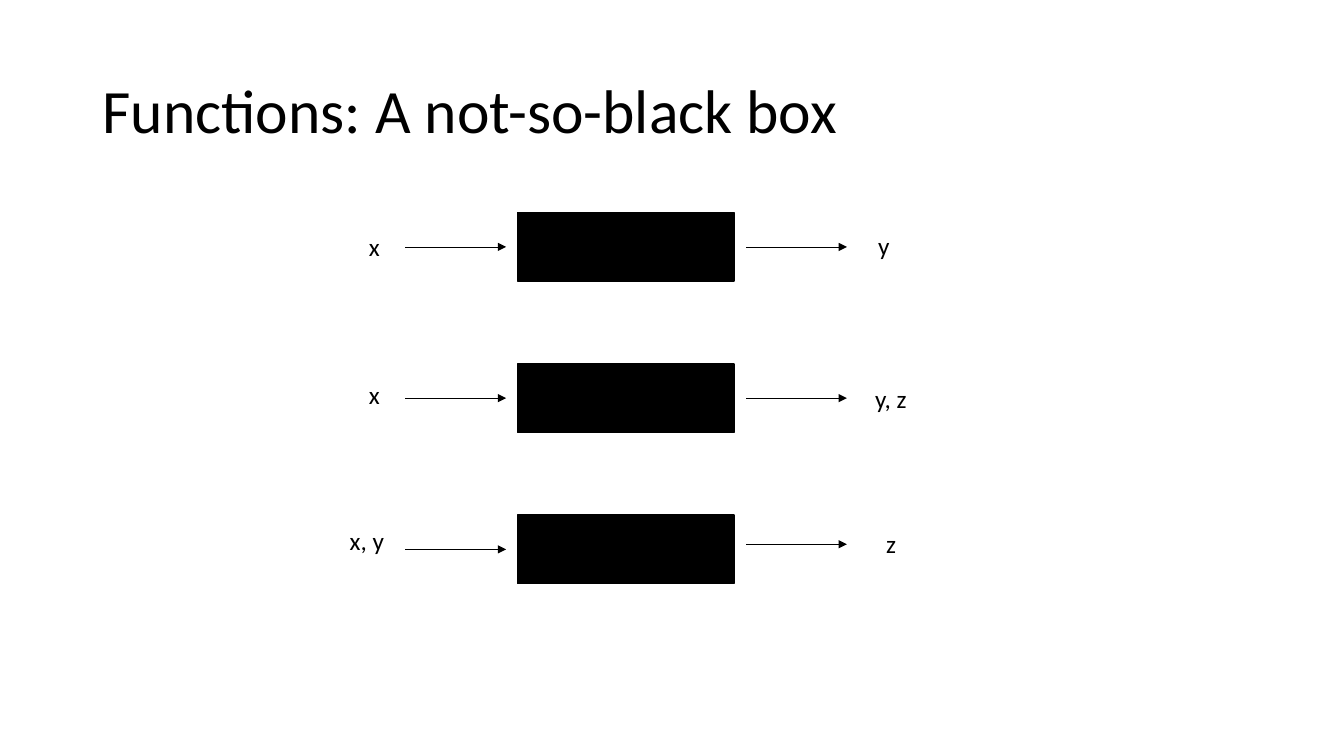
from lxml import etree
from pptx import Presentation
from pptx import util as u
from pptx.dml.color import RGBColor
from pptx.enum import shapes, text
from pptx.oxml.ns import qn

FONT = "Calibri"
BLACK = "000000"
ROW_LEFT, ROW_TOP, ROW_PITCH = 3.37, 2.11, 1.5
BOX_WIDTH, BOX_HEIGHT = 2.15, 0.68
ARROW_LENGTH = 1

# Each label: text, left and top within its row, width.
ROWS = [
    {"input": ("x", 0.19, 0.14, 0.31), "output": ("y", 5.24, 0.13, 0.32), "output_arrow": 0.34},
    {"input": ("x", 0.19, 0.1, 0.31), "output": ("y, z", 5.21, 0.14, 0.52), "output_arrow": 0.34},
    {"input": ("x, y", 0, 0.05, 0.55), "output": ("z", 5.32, 0.08, 0.3), "output_arrow": 0.29},
]


def color(hex_string):
    """Return the colour for a hex string."""
    return RGBColor.from_string(hex_string)


def add_text(slide, content, left, top, width, height, size):
    """Add a one-line text box and return its text frame."""
    shape = slide.shapes.add_textbox(*map(u.Inches, (left, top, width, height)))
    frame = shape.text_frame
    frame.text = content
    font = frame.paragraphs[0].runs[0].font
    font.name, font.size = FONT, u.Pt(size)
    font.color.rgb = color(BLACK)
    return frame


def add_title(slide, content, left, top, width, height):
    """Add the slide title, centred vertically in its box."""
    frame = add_text(slide, content, left, top, width, height, 44)
    frame.word_wrap = True
    frame.vertical_anchor = text.MSO_ANCHOR.MIDDLE
    frame.paragraphs[0].line_spacing = 0.9


def add_label(slide, content, left, top, width):
    """Add a variable name that does not wrap."""
    frame = add_text(slide, content, left, top, width, 0.4, 18)
    frame.word_wrap = False
    frame.auto_size = text.MSO_AUTO_SIZE.SHAPE_TO_FIT_TEXT


def add_arrow(slide, left, top):
    """Add a thin horizontal arrow pointing right."""
    ends = (left, top, left + ARROW_LENGTH, top)
    arrow = slide.shapes.add_connector(shapes.MSO_CONNECTOR.STRAIGHT, *map(u.Inches, ends))
    arrow.line.color.rgb = color(BLACK)
    arrow.line.width = u.Pt(0.5)
    etree.SubElement(arrow.line._get_or_add_ln(), qn("a:tailEnd"), type="triangle")
    etree.SubElement(arrow._element.spPr, qn("a:effectLst"))


def add_black_box(slide, left, top):
    """Add the black rectangle that stands for a function."""
    bounds = (left, top, BOX_WIDTH, BOX_HEIGHT)
    box = slide.shapes.add_shape(shapes.MSO_SHAPE.RECTANGLE, *map(u.Inches, bounds))
    box.shadow.inherit = False
    box.fill.solid()
    box.fill.fore_color.rgb = color(BLACK)
    box.line.color.rgb = color(BLACK)
    box.line.width = u.Pt(1)


def add_function_row(slide, row, left, top):
    """Add one function with its input, output and arrows."""
    add_black_box(slide, left + 1.76, top)
    add_arrow(slide, left + 0.65, top + BOX_HEIGHT / 2)
    add_arrow(slide, left + 4.03, top + row["output_arrow"])
    for name, label_left, label_top, width in (row["input"], row["output"]):
        add_label(slide, name, left + label_left, top + label_top, width)


def main():
    """Build the slide and save it."""
    presentation = Presentation()
    presentation.slide_width = u.Inches(13.33)
    presentation.slide_height = u.Inches(7.5)
    slide = presentation.slides.add_slide(presentation.slide_layouts[6])
    add_title(slide, "Functions: A not-so-black box", 0.92, 0.4, 11.5, 1.45)
    for index, row in enumerate(ROWS):
        add_function_row(slide, row, ROW_LEFT, ROW_TOP + index * ROW_PITCH)
    presentation.save("out.pptx")


if __name__ == "__main__":
    main()
